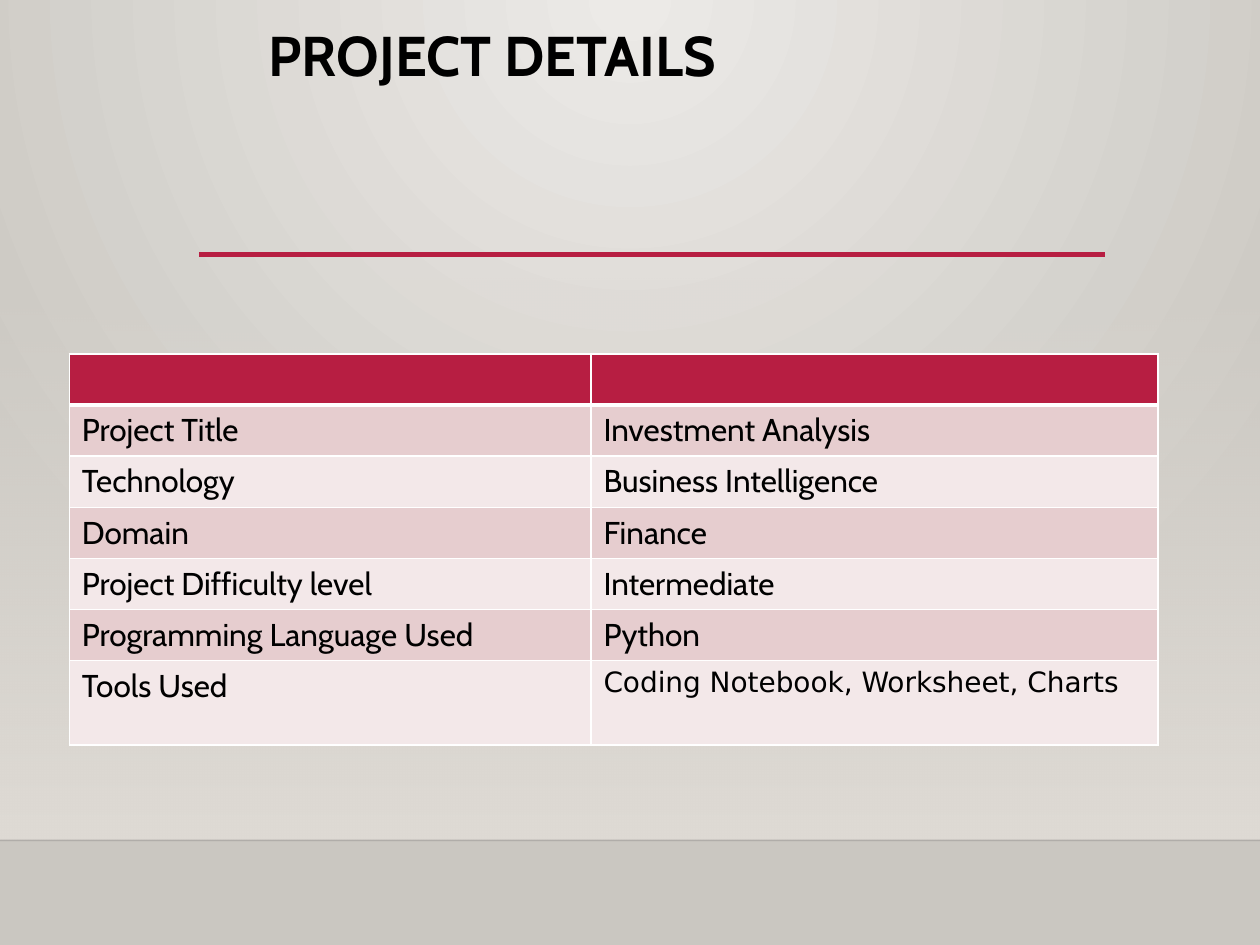
"""Build a project details slide with a title, a rule and a two-column table."""
from lxml import etree
from pptx import Presentation
from pptx.dml.color import RGBColor
from pptx.enum.shapes import MSO_CONNECTOR, MSO_SHAPE
from pptx.enum.text import MSO_ANCHOR, PP_ALIGN
from pptx.oxml import parse_xml
from pptx.oxml.ns import nsdecls, qn
from pptx.util import Inches, Pt

STRAIGHT = MSO_CONNECTOR.STRAIGHT
RECTANGLE = MSO_SHAPE.RECTANGLE
TOP = MSO_ANCHOR.TOP
LEFT = PP_ALIGN.LEFT

THEME = {
    "font": "Cabin", "tools_font": "DejaVu Sans",
    "title_size": 32, "body_size": 18, "tools_size": 16,
    "text": "000000", "accent": "B71E42", "border": "FFFFFF", "edge": "000001",
    "bands": ("E6CDCF", "F3E8E9"),
    "light": "ECEAE7", "dark": "CAC7C1", "glow": "DFDBD5",
}
ROWS = [
    ("", ""),
    ("Project Title", "Investment Analysis"),
    ("Technology", "Business Intelligence"),
    ("Domain", "Finance"),
    ("Project Difficulty level", "Intermediate"),
    ("Programming Language Used", "Python"),
    ("Tools Used", "Coding Notebook, Worksheet, Charts"),
]
COLUMN_WIDTHS = (4.14, 4.5)
ROW_HEIGHTS = [2.43 / 6] * 6 + [0.67]
FLOOR = 6.67


def set_gradient(fill, root, stops, shade):
    """Fill with (position, colour, opacity) stops and the given shading element."""
    fill.gradient()
    stop_xml = "".join(
        f'<a:gs pos="{position * 1000}"><a:srgbClr val="{colour}">'
        f'<a:alpha val="{opacity * 1000}"/></a:srgbClr></a:gs>'
        for position, colour, opacity in stops)
    old = root.find(".//" + qn("a:gradFill"))
    old.getparent().replace(old, parse_xml(
        f'<a:gradFill {nsdecls("a")} rotWithShape="1"><a:gsLst>{stop_xml}</a:gsLst>{shade}</a:gradFill>'))


def style_text(text_frame, size, font, bold=False):
    """Format the first paragraph of a text frame."""
    paragraph = text_frame.paragraphs[0]
    paragraph.alignment = LEFT
    paragraph.font.size = Pt(size)
    paragraph.font.name = font
    paragraph.font.bold = bold
    paragraph.font.color.rgb = RGBColor.from_string(THEME["text"])
    return paragraph


presentation = Presentation()
presentation.slide_width, presentation.slide_height = Inches(10), Inches(7.5)
slide = presentation.slides.add_slide(presentation.slide_layouts[5])
set_gradient(
    slide.background.fill, slide.element,
    [(0, THEME["light"], 100), (100, THEME["dark"], 100)],
    '<a:path path="circle"><a:fillToRect l="43000" t="0" r="43000" b="100000"/></a:path>')

glow = slide.shapes.add_shape(RECTANGLE, 0, Inches(2.2), presentation.slide_width, Inches(FLOOR - 2.2))
glow.shadow.inherit = False
glow.line.fill.background()
set_gradient(glow.fill, glow.element, [(0, THEME["glow"], 0), (100, THEME["glow"], 100)],
             '<a:lin ang="5400000" scaled="0"/>')

for start, end, height, colour, width, opacity in (
        (0, 10, FLOOR, THEME["edge"], 1, 20),
        (1.58, 8.77, 2.02, THEME["accent"], 2.5, 100)):
    rule = slide.shapes.add_connector(
        STRAIGHT, Inches(start), Inches(height), Inches(end), Inches(height))
    rule.line.width = Pt(width)
    rule.line.color.rgb = RGBColor.from_string(colour)
    colour_element = rule.element.find(".//" + qn("a:srgbClr"))
    etree.SubElement(colour_element, qn("a:alpha"), val=str(opacity * 1000))
    etree.SubElement(rule.element.spPr, qn("a:effectLst"))

title = slide.shapes.title
title.left, title.top, title.width, title.height = map(Inches, (2.03, 0.17, 7.47, 1.33))
title.text_frame.text = "PROJECT DETAILS"
title.text_frame.vertical_anchor = TOP
style_text(title.text_frame, THEME["title_size"], THEME["font"], True).line_spacing = 0.9

table = slide.shapes.add_table(
    len(ROWS), len(COLUMN_WIDTHS), Inches(0.55), Inches(2.81),
    Inches(sum(COLUMN_WIDTHS)), Inches(sum(ROW_HEIGHTS))).table
for column, width in zip(table.columns, COLUMN_WIDTHS):
    column.width = Inches(width)

last_row = len(ROWS) - 1
for row_index, (texts, height) in enumerate(zip(ROWS, ROW_HEIGHTS)):
    table.rows[row_index].height = Inches(height)
    for column_index, text in enumerate(texts):
        cell = table.cell(row_index, column_index)
        cell.text = text
        is_tools = (row_index, column_index) == (last_row, 1)
        style_text(cell.text_frame,
                   THEME["tools_size" if is_tools else "body_size"],
                   THEME["tools_font" if is_tools else "font"])
        fill_colour = THEME["bands"][(row_index - 1) % 2] if row_index else THEME["accent"]
        cell.fill.solid()
        cell.fill.fore_color.rgb = RGBColor.from_string(fill_colour)
        properties = cell._tc.get_or_add_tcPr()
        for position, side in enumerate("LRTB"):
            under_header = (row_index, side) in ((0, "B"), (1, "T"))
            properties.insert(position, parse_xml(
                f'<a:ln{side} {nsdecls("a")} w="{Pt(3 if under_header else 1)}"><a:solidFill>'
                f'<a:srgbClr val="{THEME["border"]}"/></a:solidFill></a:ln{side}>'))

presentation.save("out.pptx")
